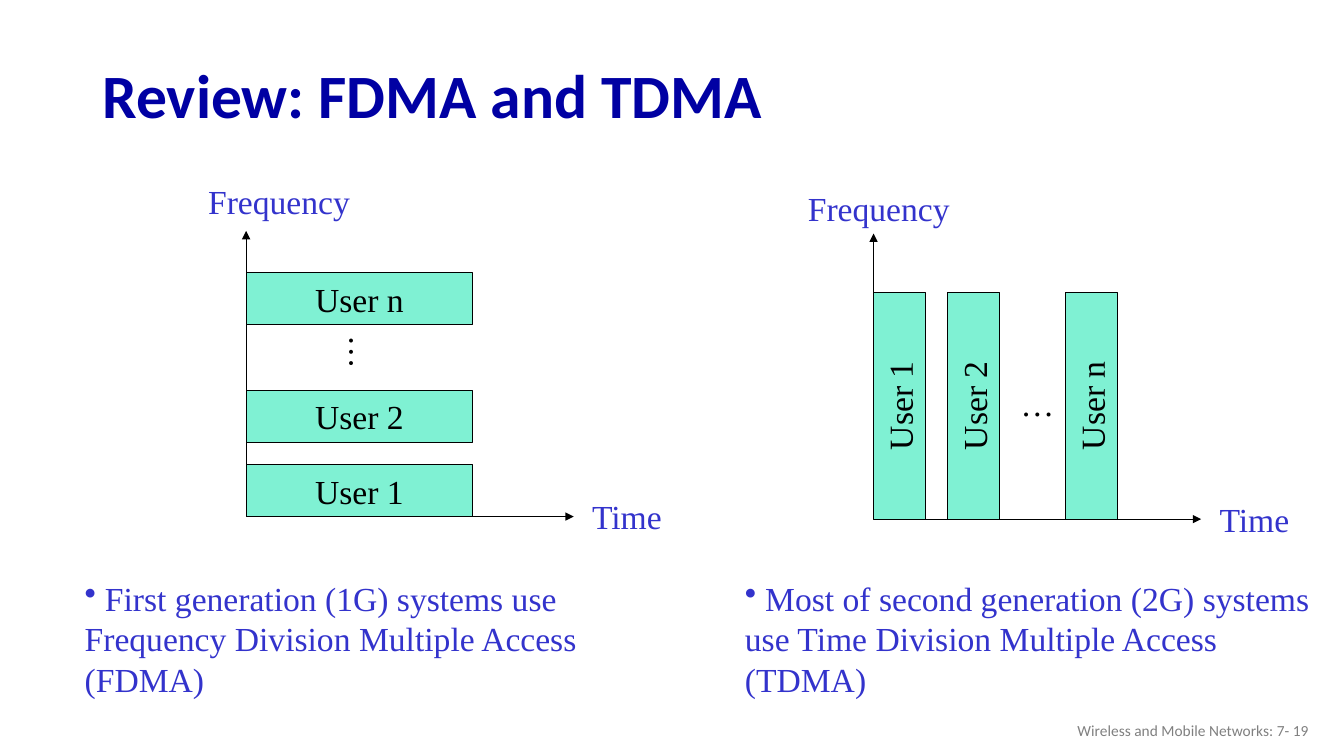
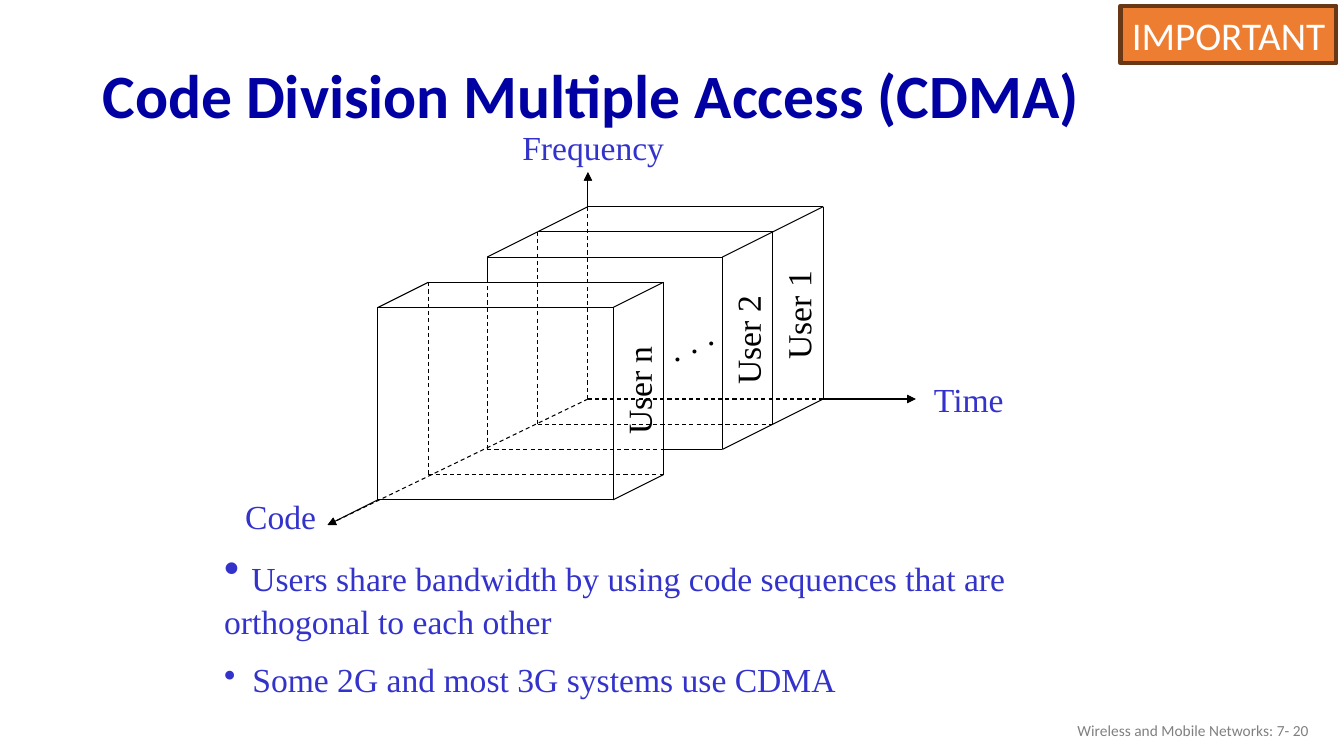
from dataclasses import dataclass

from pptx import Presentation
from pptx.dml.color import RGBColor
from pptx.enum.dml import MSO_LINE
from pptx.enum.shapes import MSO_CONNECTOR as Link, MSO_SHAPE as Preset
from pptx.enum.text import MSO_ANCHOR as Anchor, PP_ALIGN as Align
from pptx.oxml.ns import qn
from pptx.util import Inches, Pt
from lxml.etree import SubElement


@dataclass(frozen=True)
class Theme:
    heading: str = "Calibri"
    body: str = "Times New Roman"
    navy: str = "0000A3"
    blue: str = "3333CC"
    ink: str = "000000"
    grey: str = "808080"
    mint: str = "00E4A8"
    orange: str = "ED7D31"
    brown: str = "683715"
    white: str = "FFFFFF"
    title_size: int = 44
    lead_size: int = 32
    tag_size: int = 28
    body_size: int = 24
    footer_size: int = 11
    thin: float = 0.75
    thick: float = 3


class Deck:
    COLUMNS, ROWS = 160, 90
    BAR_LENGTH, BAR_THICKNESS = 27, 6.15

    def __init__(self, theme, first_number):
        self.theme = theme
        self.number = first_number
        self.prs = Presentation()
        self.prs.slide_width, self.prs.slide_height = Inches(13.33), Inches(7.5)
        self.slide = None

    def spot(self, column, row):
        return (int(self.prs.slide_width * column / self.COLUMNS),
                int(self.prs.slide_height * row / self.ROWS))

    def area(self, left, top, width, height):
        return *self.spot(left, top), *self.spot(width, height)

    def add_text(self, paragraph, text, size, color, font=None):
        run = paragraph.add_run()
        run.text = text
        run.font.name = font or self.theme.body
        run.font.size = Pt(size)
        run.font.color.rgb = RGBColor.from_string(color)
        return run

    def start(self, title):
        theme = self.theme
        self.slide = self.prs.slides.add_slide(self.prs.slide_layouts[5])
        heading = self.slide.shapes.title
        heading.left, heading.top, heading.width, heading.height = self.area(11, 5.9, 138, 11.75)
        heading.text_frame.vertical_anchor = Anchor.MIDDLE
        line = heading.text_frame.paragraphs[0]
        line.alignment, line.line_spacing = Align.LEFT, 0.9
        self.add_text(line, title, theme.title_size, theme.navy, theme.heading).font.bold = True
        footer = self.text_frame(121, 84.6, 36, 4.8)
        footer.vertical_anchor = Anchor.MIDDLE
        footer.paragraphs[0].alignment = Align.RIGHT
        self.add_text(footer.paragraphs[0], f"Wireless and Mobile Networks: 7- {self.number}",
                      theme.footer_size, theme.grey, theme.heading)
        self.number += 1

    def text_frame(self, left, top, width, height, rotation=0):
        holder = self.slide.shapes.add_textbox(*self.area(left, top, width, height))
        holder.rotation = rotation
        holder.text_frame.word_wrap = True
        return holder.text_frame

    def label(self, text, left, top, width=20, color=None):
        frame = self.text_frame(left, top, width, 6)
        self.add_text(frame.paragraphs[0], text, self.theme.body_size, color or self.theme.blue)

    def turned_label(self, text, center_x, center_y, width, rotation):
        frame = self.text_frame(center_x - width / 2, center_y - 3, width, 6, rotation)
        frame.paragraphs[0].alignment = Align.CENTER
        self.add_text(frame.paragraphs[0], text, self.theme.body_size, self.theme.ink)

    def bullets(self, area, *items):
        frame = self.text_frame(*area)
        for index, (text, lead) in enumerate(items):
            paragraph = frame.add_paragraph() if index else frame.paragraphs[0]
            hang = 0 if lead else Inches(0.28)
            properties = paragraph._p.get_or_add_pPr()
            properties.set("marL", str(hang))
            properties.set("indent", str(-hang))
            SubElement(properties, qn("a:buChar"), char="•")
            if index:
                paragraph.space_before = Pt(13)
            if lead:
                self.add_text(paragraph, " ", lead, self.theme.blue)
            self.add_text(paragraph, text, self.theme.body_size, self.theme.blue)

    def box(self, text, area, fill, border, weight, size, color, font):
        shape = self.slide.shapes.add_shape(Preset.RECTANGLE, *self.area(*area))
        shape.shadow.inherit = False
        shape.fill.solid()
        shape.fill.fore_color.rgb = RGBColor.from_string(fill)
        shape.line.color.rgb = RGBColor.from_string(border)
        shape.line.width = Pt(weight)
        frame = shape.text_frame
        frame.word_wrap = False
        frame.vertical_anchor = Anchor.MIDDLE
        frame.paragraphs[0].alignment = Align.CENTER
        self.add_text(frame.paragraphs[0], text, size, color, font)
        return shape

    def bar(self, text, center_x, center_y, rotation=0):
        theme = self.theme
        length, thickness = self.BAR_LENGTH, self.BAR_THICKNESS
        area = center_x - length / 2, center_y - thickness / 2, length, thickness
        user = self.box(text, area, theme.mint, theme.ink, theme.thin,
                        theme.body_size, theme.ink, theme.body)
        user.rotation = rotation
        color = user.element.spPr.find(qn("a:solidFill")).find(qn("a:srgbClr"))
        SubElement(color, qn("a:alpha"), val="50000")

    def tag(self, text, area):
        theme = self.theme
        self.box(text, area, theme.orange, theme.brown, theme.thick,
                 theme.tag_size, theme.white, theme.heading)

    def line(self, start, end, dashed=False, arrow=False):
        edge = self.slide.shapes.add_connector(Link.STRAIGHT, *self.spot(*start), *self.spot(*end))
        edge.line.color.rgb = RGBColor.from_string(self.theme.ink)
        edge.line.width = Pt(self.theme.thin)
        if dashed:
            edge.line.dash_style = MSO_LINE.DASH
        if arrow:
            SubElement(edge.get_or_add_ln(), qn("a:tailEnd"), type="triangle")
        SubElement(edge.element.spPr, qn("a:effectLst"))

    def axes(self, origin, *tips, dashed=False):
        for tip in tips:
            self.line(origin, tip, dashed, arrow=True)


def add_review(deck):
    deck.start("Review: FDMA and TDMA")
    users = {"User 1": 0, "User 2": 8.85, "User n": 22.85}
    half_length, half_thickness = deck.BAR_LENGTH / 2, deck.BAR_THICKNESS / 2
    fdma, tdma = (29.3, 61.5), (104, 61.8)
    for x, y in (fdma, tdma):
        deck.axes((x, y), (x + 39, y), (x, y - 34))
        deck.label("Time", x + 40, y - 3, 12)
    for user, offset in users.items():
        deck.bar(user, fdma[0] + half_length, fdma[1] - offset - half_thickness)
        deck.bar(user, tdma[0] + offset + half_thickness, tdma[1] - half_length, 270)
    deck.turned_label("…", 43.2, 42, 7, 90)
    deck.turned_label("…", 123.5, 48, 7, 0)
    deck.label("Frequency", 23.6, 21)
    deck.label("Frequency", 95, 21.8)
    size = deck.theme.body_size
    deck.bullets((8.9, 68.2, 74.8, 15.7),
                 ("First generation (1G) systems use Frequency Division Multiple Access (FDMA)", size))
    deck.bullets((87.5, 68.2, 72, 15.7),
                 ("Most of second generation (2G) systems use Time Division Multiple Access (TDMA)", size))


def add_cdma(deck):
    deck.start("Code Division Multiple Access (CDMA)")
    width, height = 28, 22.9
    planes = [(x, 47.5 + 3 * depth) for depth, x in enumerate((70, 64, 58, 51, 45))]
    origin, front = planes[0], planes[-1]
    time_tip, frequency_tip, code_tip = (109, 47.5), (70, 20.5), (39, 62.5)
    deck.axes(origin, time_tip, frequency_tip, code_tip, dashed=True)
    deck.axes((origin[0] + width, origin[1]), time_tip)
    deck.axes((origin[0], origin[1] - height), frequency_tip)
    deck.axes(front, code_tip)

    corners = [((x, y), (x + width, y), (x, y - height), (x + width, y - height))
               for x, y in planes]
    for depth, (low_left, low_right, top_left, top_right) in enumerate(corners):
        deck.line(top_left, top_right)
        deck.line(top_right, low_right)
        if depth:
            hidden = low_left != front
            deck.line(top_left, low_left, dashed=hidden)
            deck.line(low_left, low_right, dashed=hidden)
    for user, depth in (("User 1", 0), ("User 2", 1), ("User n", 3)):
        for back, near in zip(corners[depth][1:], corners[depth + 1][1:]):
            deck.line(back, near)
        x, y = planes[depth]
        deck.turned_label(user, x + width - 3, y - 10, 20, 270)
    deck.line((79, 53.5), (86, 53.5))
    deck.line((58, 30.6), (58, 33.6))
    for step in range(3):
        deck.label(".", 79 + 2 * step, 38.5 - step, 4, deck.theme.ink)

    deck.label("Time", 110, 44.5, 12)
    deck.label("Frequency", 61, 14.5)
    deck.label("Code", 28, 58.5, 12)
    deck.bullets((25.5, 64.5, 109.8, 19.8),
                 ("Users share bandwidth by using code sequences that are orthogonal to each other",
                  deck.theme.lead_size),
                 ("Some 2G and most 3G systems use CDMA", None))
    deck.tag("IMPORTANT", (133.4, 0.7, 25.7, 6.85))


def main():
    deck = Deck(Theme(), first_number=19)
    add_review(deck)
    add_cdma(deck)
    deck.prs.save("out.pptx")


if __name__ == "__main__":
    main()
